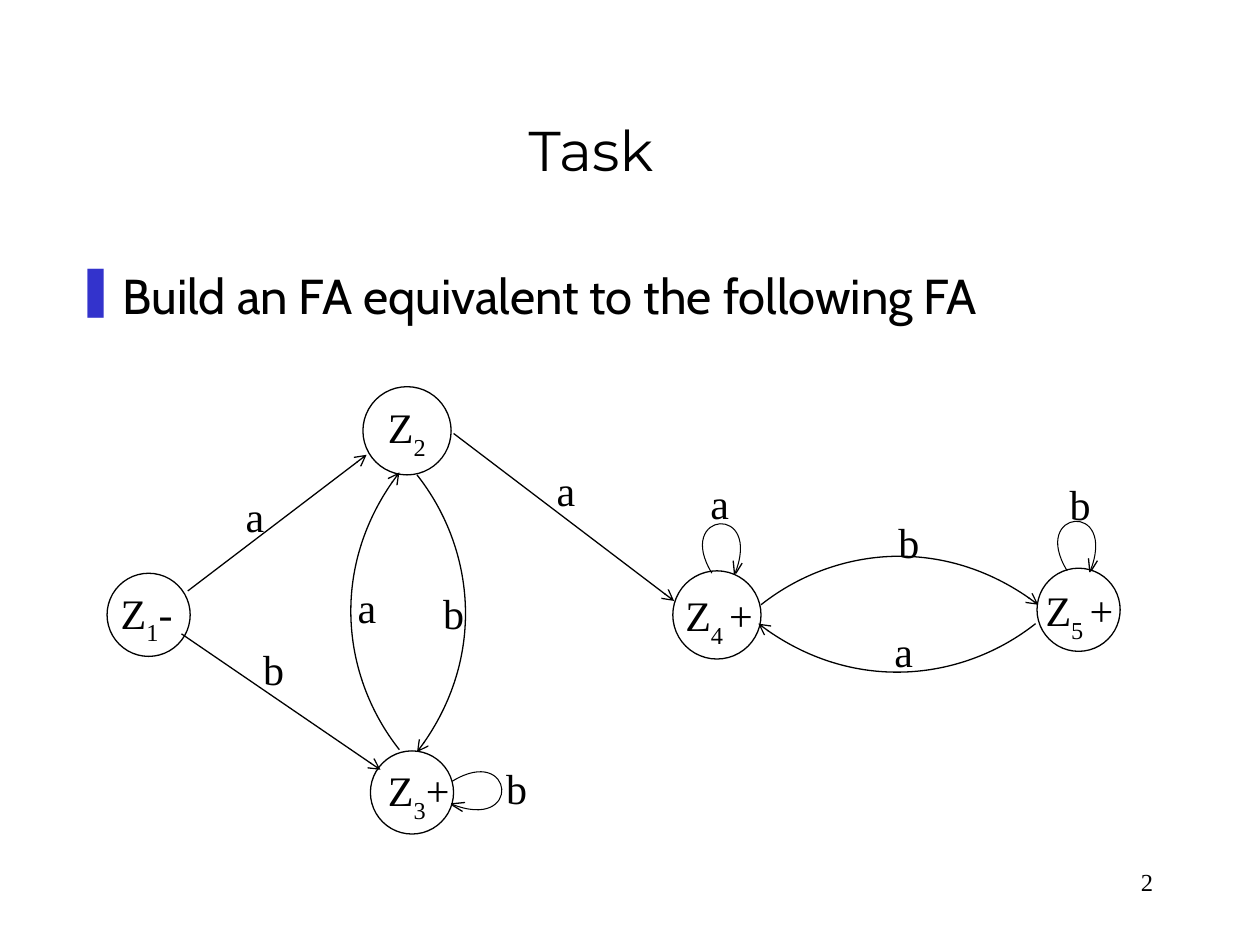
from dataclasses import dataclass

from lxml import etree
from pptx import Presentation
from pptx.dml.color import RGBColor
from pptx.enum.shapes import MSO_CONNECTOR, MSO_SHAPE
from pptx.enum.text import MSO_ANCHOR, MSO_AUTO_SIZE, PP_ALIGN
from pptx.oxml.ns import qn
from pptx.util import Pt

STRAIGHT = MSO_CONNECTOR.STRAIGHT
ELLIPSE = MSO_SHAPE.OVAL
TOP, BOTTOM = MSO_ANCHOR.TOP, MSO_ANCHOR.BOTTOM
LEFT, CENTER, RIGHT = PP_ALIGN.LEFT, PP_ALIGN.CENTER, PP_ALIGN.RIGHT
GROW = MSO_AUTO_SIZE.SHAPE_TO_FIT_TEXT


@dataclass(frozen=True)
class Theme:
    ink: str = "000000"
    paper: str = "FFFFFF"
    bullet: str = "3333CC"
    title_font: str = "Montserrat"
    body_font: str = "Cabin"
    diagram_font: str = "Times New Roman"
    title_size: int = 32
    body_size: int = 28
    diagram_size: int = 24
    number_size: int = 14
    line: float = 0.75
    loop_line: float = 0.6


# Offsets from the start point, before any quarter turns
ARC = [(0, 0), (41, -32.4), (106, -40.3), (158.4, 0)]
LOOP = [(0, 0), (-21.6, -35.3), (29.5, -40.3), (13, 0.7)]
LOOP_BARBS = [[(13.7, 0), (17.3, -5.8)], [(12.2, -7.2), (13, 0.7)]]

# Subscript, sign, circle left, top, diameter, label left, top
STATES = [
    ("1", "-", 61.2, 327.6, 47.5, 61.9, 331.9),
    ("2", "", 207.4, 221, 50.4, 214.6, 226.1),
    ("3", "+", 211.7, 429.1, 47.5, 214.6, 433.4),
    ("4 ", "+", 384.5, 326.2, 50.4, 384.5, 333.4),
    ("5 ", "+", 592.6, 324.7, 47.5, 590.4, 330.5),
]
STRAIGHT_EDGES = [
    ((259.2, 247.7), (385.2, 343.4)),
    ((107.3, 337.7), (209.5, 259.9)),
    ((103.7, 362.2), (217.4, 439.9)),
]
# Start point, quarter turns
ARC_EDGES = [
    ((434.9, 345.6), 0),
    ((238.3, 271.4), 1),
    ((591.8, 356.4), 2),
    ((228.2, 428.4), 3),
]
LOOP_EDGES = [((406.8, 327.6), 0), ((609.8, 326.2), 0), ((258.5, 446.4), 1)]
EDGE_LABELS = {
    "a": [(197.3, 329), (311, 262.1), (398.9, 269.3), (504, 354.2),
          (133.2, 276.5)],
    "b": [(143.3, 364.3), (246.2, 331.9), (282.2, 432), (506.2, 291.6),
          (604.1, 270)],
}


def placed(offsets, start, turns):
    """Turn the offsets clockwise by quarter turns and move them to start."""
    for _ in range(turns):
        offsets = [(-y, x) for x, y in offsets]
    return [(start[0] + x, start[1] + y) for x, y in offsets]


class SlideBuilder:
    def __init__(self, slide, theme):
        self.slide = slide
        self.theme = theme

    def text(self, frame, runs, font, size, align=LEFT, anchor=TOP,
             grow=False, bullet=None):
        """Add one paragraph; runs are (wording, baseline in percent) pairs."""
        box = self.slide.shapes.add_textbox(*map(Pt, frame))
        body = box.text_frame
        body.word_wrap = True
        body.vertical_anchor = anchor
        if grow:
            body.auto_size = GROW
        para = body.paragraphs[0]
        para.alignment = align
        if bullet:
            self.bullet(para, bullet)
        for wording, baseline in runs:
            span = para.add_run()
            span.text = wording
            span.font.name = font
            span.font.size = Pt(size)
            span.font.color.rgb = RGBColor.from_string(self.theme.ink)
            if baseline:
                span._r.get_or_add_rPr().set("baseline", str(baseline * 1000))

    def bullet(self, para, symbol):
        props = para._p.get_or_add_pPr()
        props.set("marL", str(Pt(27)))
        props.set("indent", str(Pt(-27)))
        colour = etree.SubElement(props, qn("a:buClr"))
        etree.SubElement(colour, qn("a:srgbClr"), val=self.theme.bullet)
        etree.SubElement(props, qn("a:buChar"), char=symbol)

    def stroke(self, shape, width, arrow=False):
        shape.line.color.rgb = RGBColor.from_string(self.theme.ink)
        shape.line.width = Pt(width)
        if arrow:
            etree.SubElement(shape.line._get_or_add_ln(), qn("a:tailEnd"),
                             type="arrow")

    def circle(self, left, top, size):
        shape = self.slide.shapes.add_shape(
            ELLIPSE, Pt(left), Pt(top), Pt(size), Pt(size))
        shape.shadow.inherit = False
        shape.fill.solid()
        shape.fill.fore_color.rgb = RGBColor.from_string(self.theme.paper)
        self.stroke(shape, self.theme.line)

    def arrow(self, start, end):
        line = self.slide.shapes.add_connector(
            STRAIGHT, *map(Pt, (*start, *end)))
        self.stroke(line, self.theme.line, arrow=True)
        etree.SubElement(line._element.spPr, qn("a:effectLst"))

    def outline(self, points, width, arrow=False):
        """Draw an open outline straight through the points."""
        start, *others = [(Pt(x), Pt(y)) for x, y in points]
        builder = self.slide.shapes.build_freeform(*start)
        builder.add_line_segments(others, close=False)
        shape = builder.convert_to_shape()
        shape.shadow.inherit = False
        shape.fill.background()
        self.stroke(shape, width, arrow)
        return shape

    def curve(self, points, width, arrow=False):
        """Draw a cubic curve from its end points and two control points."""
        shape = self.outline(points, width, arrow)
        steps = list(shape._element.iter(qn("a:lnTo")))
        cubic = etree.SubElement(steps[0].getparent(), qn("a:cubicBezTo"))
        for step in steps:
            cubic.append(step[0])
            step.getparent().remove(step)

    def loop(self, start, turns):
        self.curve(placed(LOOP, start, turns), self.theme.loop_line)
        for barb in LOOP_BARBS:
            self.outline(placed(barb, start, turns), self.theme.line)

    def diagram_text(self, left, top, height, runs):
        self.text((left, top, 56.2, height), runs, self.theme.diagram_font,
                  self.theme.diagram_size, grow=True)


def main():
    deck = Presentation()
    deck.slide_width, deck.slide_height = Pt(720), Pt(540)
    theme = Theme()
    page = SlideBuilder(deck.slides.add_slide(deck.slide_layouts[6]), theme)

    page.text((516.2, 491.8, 149.8, 36), [("2", 0)], theme.diagram_font,
              theme.number_size, align=RIGHT)
    page.text((31.7, 18, 612, 90), [("Task", 0)], theme.title_font,
              theme.title_size, align=CENTER, anchor=BOTTOM)
    page.text((36, 148.3, 643.7, 328.3),
              [("Build an FA equivalent to the following FA", 0)],
              theme.body_font, theme.body_size, bullet="❚")

    for _, _, left, top, size, _, _ in STATES:
        page.circle(left, top, size)
    for start, turns in ARC_EDGES:
        page.curve(placed(ARC, start, turns), theme.line, arrow=True)
    for start, turns in LOOP_EDGES:
        page.loop(start, turns)
    for start, end in STRAIGHT_EDGES:
        page.arrow(start, end)

    for index, sign, _, _, _, left, top in STATES:
        runs = [("Z", 0), (index, -30)] + ([(sign, 0)] if sign else [])
        page.diagram_text(left, top, 41, runs)
    for letter, corners in EDGE_LABELS.items():
        for left, top in corners:
            page.diagram_text(left, top, 36, [(letter, 0)])

    deck.save("out.pptx")


if __name__ == "__main__":
    main()
